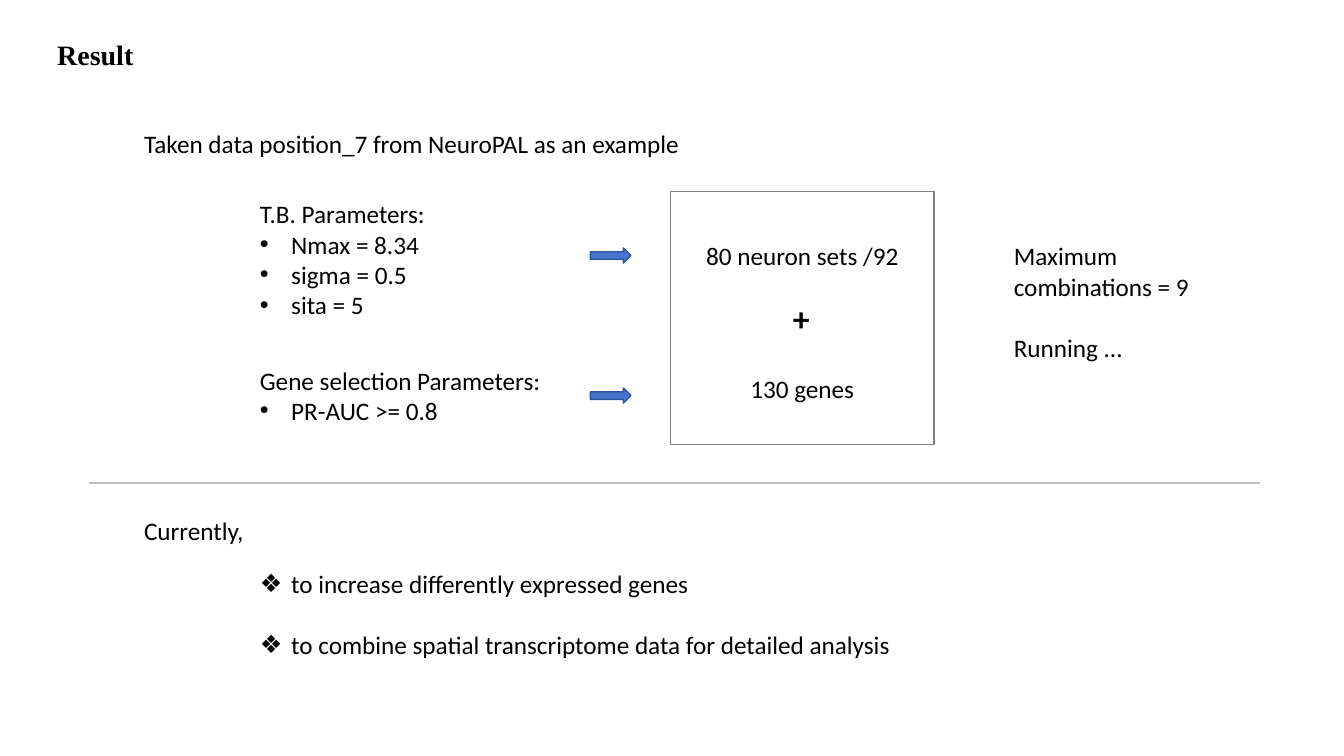
from lxml import etree
from pptx import Presentation
from pptx.dml.color import RGBColor
from pptx.enum import shapes, text
from pptx.oxml import ns
from pptx.util import Cm, Pt

BODY, HEAD = "Calibri", "Times New Roman"
BLACK = "000000"
INDENT = Cm(0.79)
LINE = 22  # height of one 18 pt line, in points

# (left, top, width, height) in cm, lines as (bullet, words), options
TEXTS = [
    ((1.19, 0.81, 11.66, 1.12), [("", "Result")],
     dict(size=20, font=HEAD, bold=True)),
    ((3.38, 3.1, 17.2, 1.42),
     [("", "Taken data position_7 from NeuroPAL as an example")], {}),
    ((6.3, 4.88, 9.73, 3.33),
     [("", "T.B. Parameters:"), ("•", "Nmax = 8.34"),
      ("•", "sigma = 0.5"), ("•", "sita = 5")], {}),
    ((6.3, 9.07, 9.73, 1.8),
     [("", "Gene selection Parameters:"), ("•", "PR-AUC >= 0.8")], {}),
    ((17.25, 5.94, 5.94, 1.02), [("", "80 neuron sets /92")],
     dict(center=True)),
    ((17.25, 9.27, 5.94, 1.02), [("", "130 genes")], dict(center=True)),
    ((19.18, 7.37, 2.03, 1.27), [("", "+")],
     dict(size=24, bold=True, center=True)),
    ((25.3, 5.94, 6.38, 3.33),
     [("", "Maximum combinations = 9"), ("", "Running ...")],
     dict(gap=LINE)),
    ((3.38, 12.85, 3.58, 1.02), [("", "Currently,")], {}),
    ((6.3, 14.2, 19.05, 2.57),
     [("❖", "to increase differently expressed genes"),
      ("❖", "to combine spatial transcriptome data for detailed analysis")],
     dict(gap=LINE)),
]
ARROWS = [(14.88, top, 1.02, 0.38) for top in (6.25, 9.78)]
FRAME = (16.89, 4.83, 6.65, 6.38)
RULE = (2.24, 12.17, 31.75, 12.17)


def cms(box):
    return [Cm(n) for n in box]


def color(code):
    return RGBColor.from_string(code)


def add_bullet(para, mark):
    props = para._p.get_or_add_pPr()
    props.set("marL", str(INDENT))
    props.set("indent", str(-INDENT))
    etree.SubElement(props, ns.qn("a:buFont")).set("typeface", "Arial")
    etree.SubElement(props, ns.qn("a:buChar")).set("char", mark)


def add_text(slide, box, lines, size=18, font=BODY, bold=False,
             center=False, gap=0):
    frame = slide.shapes.add_textbox(*cms(box)).text_frame
    frame.word_wrap = True
    for i, (mark, words) in enumerate(lines):
        para = frame.add_paragraph() if i else frame.paragraphs[0]
        para.text = words
        if mark:
            add_bullet(para, mark)
        if i and gap:
            para.space_before = Pt(gap)
        if center:
            para.alignment = text.PP_ALIGN.CENTER
        para.font.size = Pt(size)
        para.font.name = font
        para.font.bold = bold
        para.font.color.rgb = color(BLACK)


def add_shape(slide, kind, box, fill, line, width):
    shape = slide.shapes.add_shape(kind, *cms(box))
    shape.shadow.inherit = False
    if fill:
        shape.fill.solid()
        shape.fill.fore_color.rgb = color(fill)
    else:
        shape.fill.background()
    shape.line.color.rgb = color(line)
    shape.line.width = Pt(width)


def add_rule(slide, ends):
    rule = slide.shapes.add_connector(shapes.MSO_CONNECTOR.STRAIGHT,
                                      *cms(ends))
    rule.line.color.rgb = color("BFBFBF")
    rule.line.width = Pt(1)
    etree.SubElement(rule._element.spPr, ns.qn("a:effectLst"))


def main():
    deck = Presentation()
    deck.slide_width, deck.slide_height = Cm(33.87), Cm(19.05)
    slide = deck.slides.add_slide(deck.slide_layouts[6])
    kinds = shapes.MSO_SHAPE
    for box in ARROWS:
        add_shape(slide, kinds.RIGHT_ARROW, box, "4874CB", "2E54A1", 1)
    add_shape(slide, kinds.RECTANGLE, FRAME, None, "808080", 0.75)
    add_rule(slide, RULE)
    for box, lines, style in TEXTS:
        add_text(slide, box, lines, **style)
    deck.save("out.pptx")


if __name__ == "__main__":
    main()
